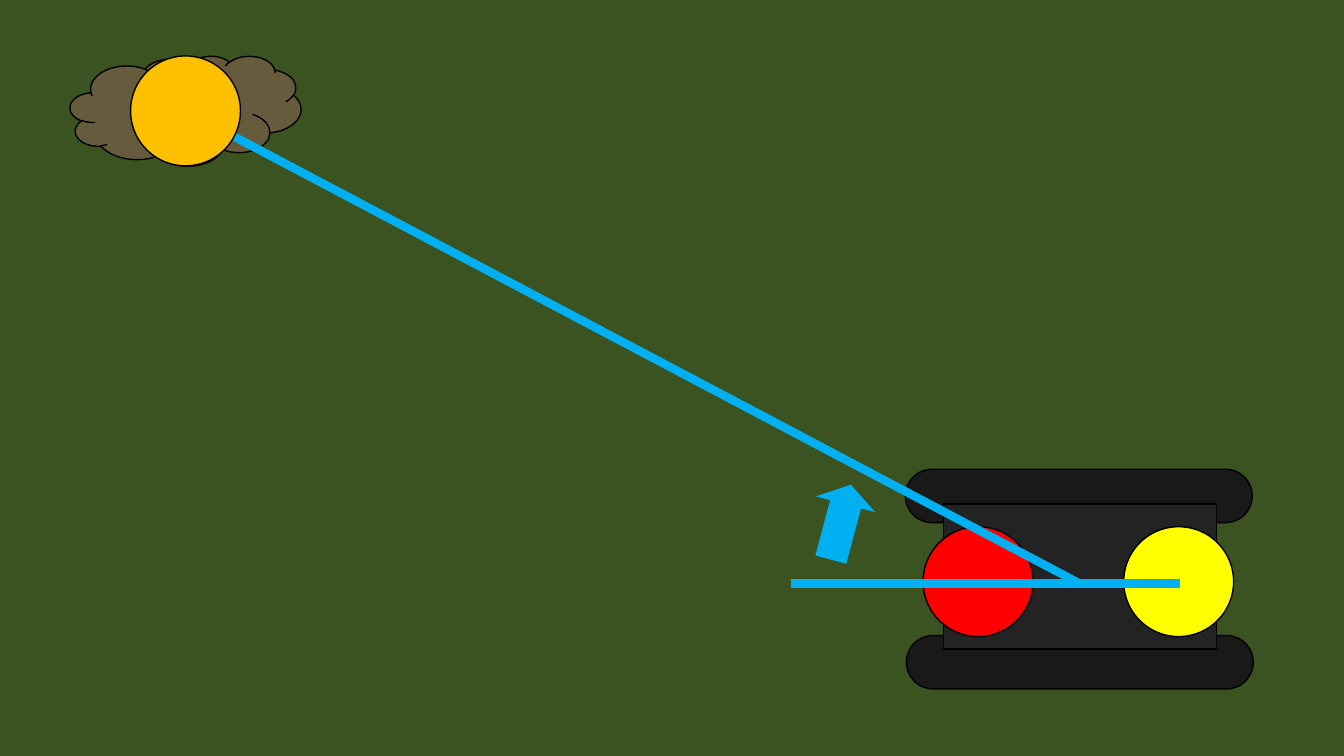
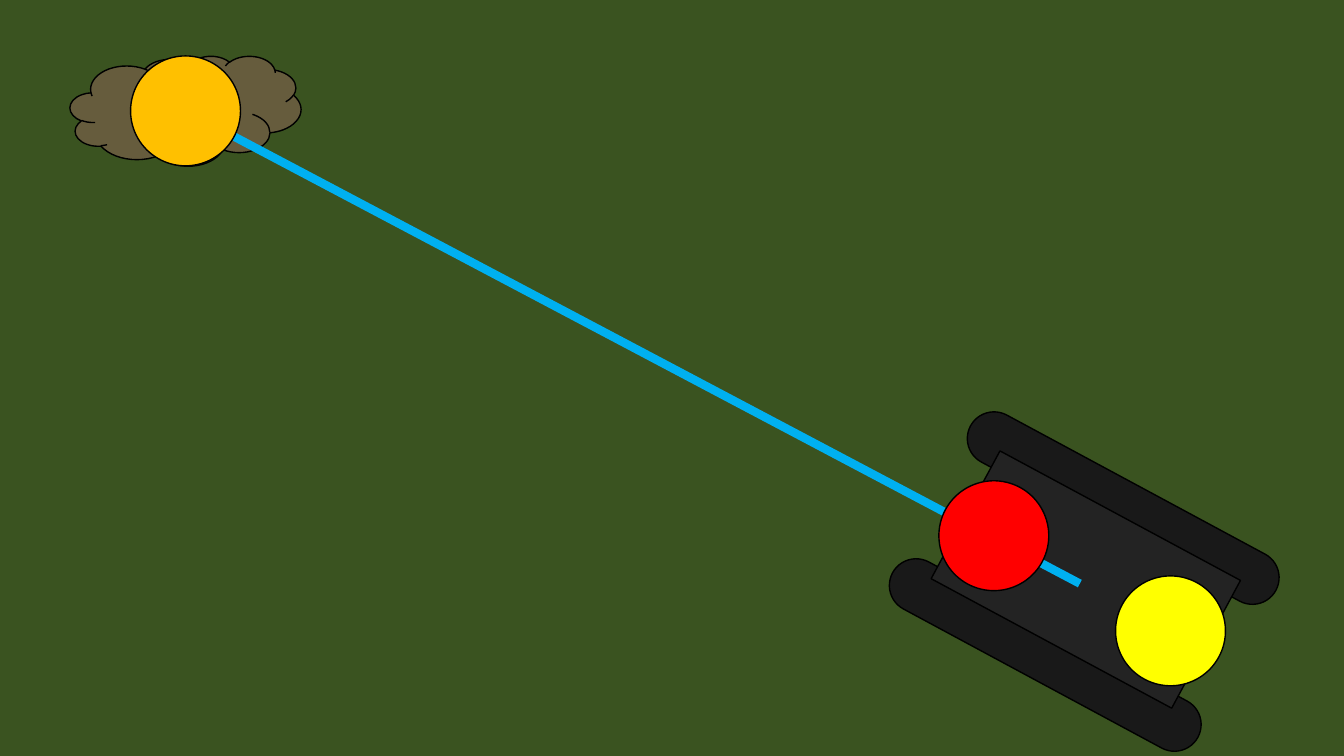
from dataclasses import dataclass
from math import cos, radians, sin

from lxml.etree import SubElement
from pptx import Presentation
from pptx.dml.color import RGBColor
from pptx.enum.shapes import MSO_CONNECTOR, MSO_SHAPE
from pptx.oxml.ns import qn
from pptx.util import Inches, Pt

COLOURS = {
    "grass": "92D050",
    "night": "000000",
    "outline": "000000",
    "track": "404040",
    "body": "595959",
    "cloud": "FFE699",
    "target": "FFC000",
    "front": "FF0000",
    "rear": "FFFF00",
    "beam": "00B0F0",
}
SLIDE_WIDTH, SLIDE_HEIGHT = 13.33, 7.5
TARGET = (1.84, 1.1)
BEAM_END = (10.71, 5.79)
GLOW = 1.09  # diameter of the bright discs


@dataclass(frozen=True)
class Part:
    """A piece of the robot, placed by its centre relative to the body's."""
    kind: MSO_SHAPE
    colour: str
    dx: float
    dy: float
    width: float
    height: float


@dataclass(frozen=True)
class Pose:
    """Centre of the robot's body and its clockwise turn in degrees."""
    x: float
    y: float
    angle: float


ROBOT = (
    Part(MSO_SHAPE.ROUNDED_RECTANGLE, "track", -0.01, -0.8, 3.44, 0.53),
    Part(MSO_SHAPE.ROUNDED_RECTANGLE, "track", 0, 0.85, 3.44, 0.53),
    Part(MSO_SHAPE.RECTANGLE, "body", 0, 0, 2.71, 1.44),
    Part(MSO_SHAPE.OVAL, "rear", 0.99, 0.02, 0.54, 0.54),
    Part(MSO_SHAPE.OVAL, "front", -1, 0.02, 0.54, 0.54),
)
FRONT_GLOW = Part(MSO_SHAPE.OVAL, "front", -1.01, 0.05, GLOW, GLOW)
REAR_GLOW = Part(MSO_SHAPE.OVAL, "rear", 0.98, 0.05, GLOW, GLOW)
POSES = {"before": Pose(10.71, 5.72, 0), "after": Pose(10.77, 5.75, 28.3)}


def rgb(name: str) -> RGBColor:
    return RGBColor.from_string(COLOURS[name])


def add_figure(shapes, kind, x, y, width, height, colour,
               angle=0.0, outlined=True):
    """Add a filled preset shape centred on (x, y)."""
    shape = shapes.add_shape(kind, Inches(x - width / 2), Inches(y - height / 2),
                             Inches(width), Inches(height))
    shape.rotation = angle
    shape.shadow.inherit = False
    shape.fill.solid()
    shape.fill.fore_color.rgb = rgb(colour)
    if outlined:
        shape.line.color.rgb = rgb("outline")
        shape.line.width = Pt(1)
    else:
        shape.line.fill.background()
    return shape


def add_part(shapes, part: Part, pose: Pose) -> None:
    """Add a part, turned about the centre of the body."""
    turn = radians(pose.angle)
    x = pose.x + part.dx * cos(turn) - part.dy * sin(turn)
    y = pose.y + part.dx * sin(turn) + part.dy * cos(turn)
    shape = add_figure(shapes, part.kind, x, y, part.width, part.height,
                       part.colour, pose.angle)
    if part.kind == MSO_SHAPE.ROUNDED_RECTANGLE:
        shape.adjustments[0] = 0.5


def add_beam(slide, start: tuple[float, float], end: tuple[float, float]) -> None:
    beam = slide.shapes.add_connector(
        MSO_CONNECTOR.STRAIGHT, *(Inches(value) for value in (*start, *end)))
    beam.line.color.rgb = rgb("beam")
    beam.line.width = Pt(6)
    SubElement(beam._element.spPr, qn("a:effectLst"))


def add_cover(slide, colour: str):
    """Add a rectangle over the whole slide."""
    return add_figure(slide.shapes, MSO_SHAPE.RECTANGLE, SLIDE_WIDTH / 2,
                      SLIDE_HEIGHT / 2, SLIDE_WIDTH, SLIDE_HEIGHT, colour,
                      outlined=False)


def add_night_scene(presentation, pose: Pose):
    """Add a slide with grass, cloud and robot under a dark veil."""
    slide = presentation.slides.add_slide(presentation.slide_layouts[6])
    add_cover(slide, "grass")
    add_figure(slide.shapes, MSO_SHAPE.CLOUD, 1.84, 1.1, 2.29, 1.09, "cloud")
    robot = slide.shapes.add_group_shape()
    for part in ROBOT:
        add_part(robot.shapes, part, pose)
    veil = add_cover(slide, "night")
    colour = veil._element.spPr.find(qn("a:solidFill"))[0]
    SubElement(colour, qn("a:alpha"), val="60000")
    return slide


def add_target_beam(slide) -> None:
    add_beam(slide, TARGET, BEAM_END)
    add_figure(slide.shapes, MSO_SHAPE.OVAL, *TARGET, GLOW, GLOW, "target")


def build_before_turn(presentation) -> None:
    pose = POSES["before"]
    slide = add_night_scene(presentation, pose)
    add_part(slide.shapes, FRONT_GLOW, pose)
    add_target_beam(slide)
    add_part(slide.shapes, REAR_GLOW, pose)
    # Current heading and the direction of the turn
    add_beam(slide, (11.7, 5.79), (7.85, 5.79))
    arrow = add_figure(slide.shapes, MSO_SHAPE.RIGHT_ARROW, 8.34, 5.18,
                       0.77, 0.61, "beam", 285, outlined=False)
    arrow.adjustments[0] = 0.52
    arrow.adjustments[1] = 0.33


def build_after_turn(presentation) -> None:
    pose = POSES["after"]
    slide = add_night_scene(presentation, pose)
    add_target_beam(slide)
    for glow in (FRONT_GLOW, REAR_GLOW):
        add_part(slide.shapes, glow, pose)


def main() -> None:
    presentation = Presentation()
    presentation.slide_width = Inches(SLIDE_WIDTH)
    presentation.slide_height = Inches(SLIDE_HEIGHT)
    build_before_turn(presentation)
    build_after_turn(presentation)
    presentation.save("out.pptx")


if __name__ == "__main__":
    main()
